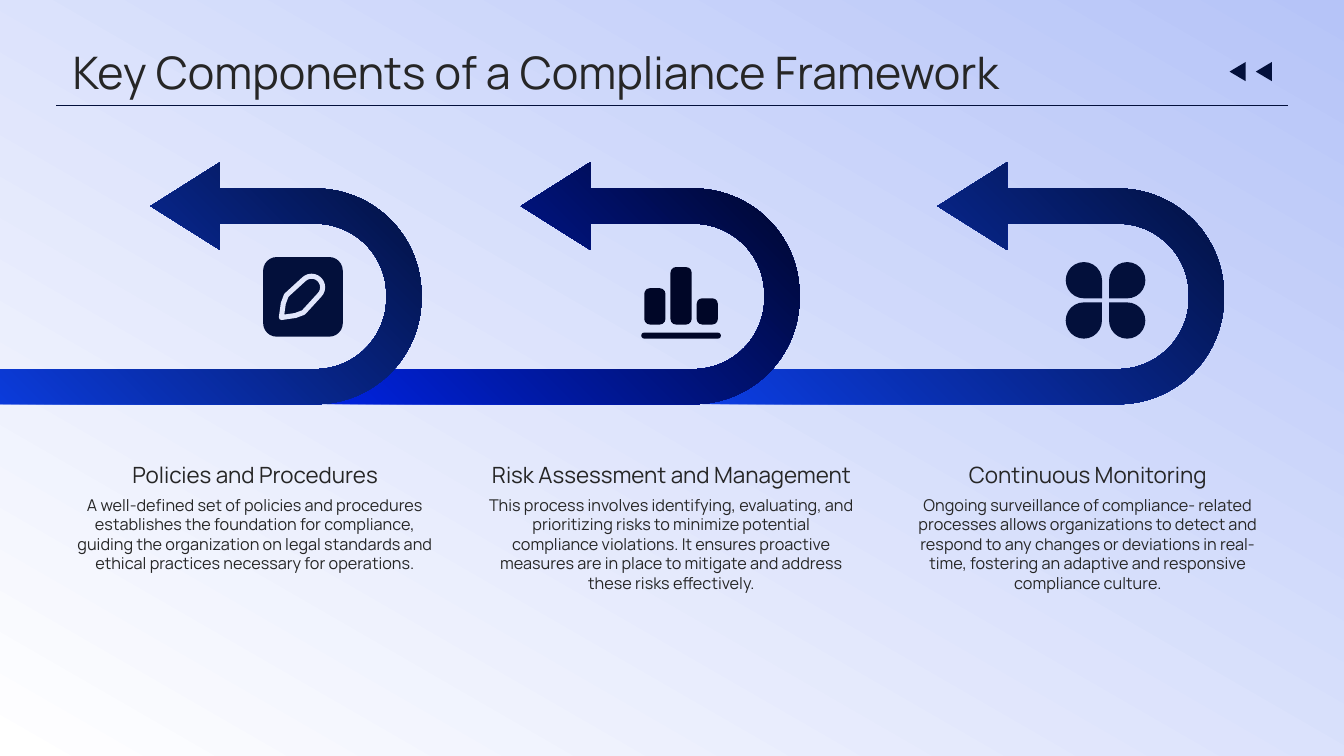
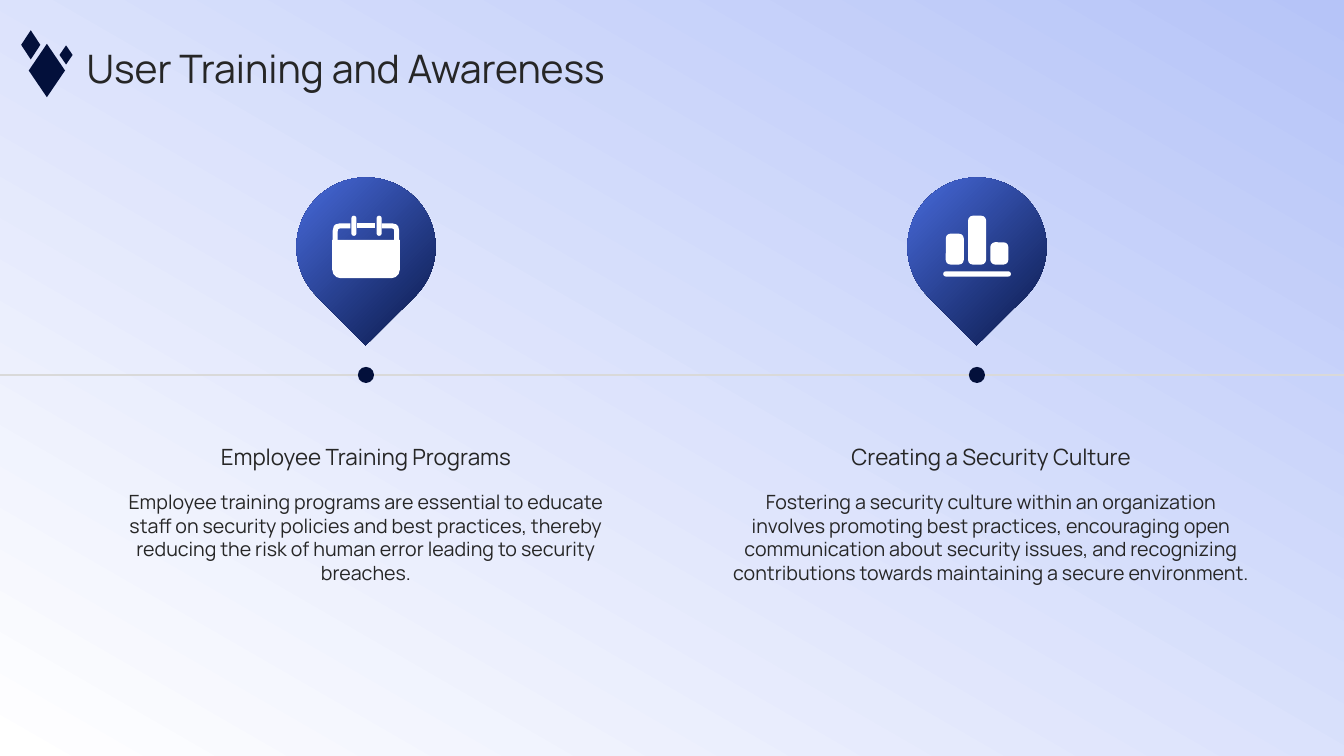
"""Build two compliance slides: a framework arrow flow and a training timeline."""
import math

from lxml import etree
from pptx import Presentation
from pptx import util as u
from pptx.dml.color import RGBColor
from pptx.enum import shapes, text
from pptx.oxml.ns import qn

WIDTH, HEIGHT = 13.33, 7.5
FONT = "Manrope"
INK = RGBColor(0x26, 0x26, 0x26)
NAVY = RGBColor(0x03, 0x10, 0x3B)
MIDNIGHT = RGBColor(0x00, 0x06, 0x27)
ROYAL = RGBColor(0x0C, 0x3E, 0xE6)
COBALT = RGBColor(0x00, 0x23, 0xE3)
PERIWINKLE = RGBColor(0xB6, 0xC4, 0xF8)
PIN_BLUE = RGBColor(0x54, 0x7A, 0xF6)
PALE = RGBColor(0xE1, 0xE6, 0xFC)
GREY = RGBColor(0xD9, 0xD9, 0xD9)
WHITE = RGBColor(0xFF, 0xFF, 0xFF)
KIND = shapes.MSO_SHAPE

COMPONENTS = [
    dict(heading="Policies and Procedures",
         body="A well-defined set of policies and procedures establishes the foundation for "
              "compliance, guiding the organization on legal standards and ethical practices "
              "necessary for operations.",
         start=-0.46, length=4.64, bend=0.579, colors=(ROYAL, NAVY), icon="pen", icon_top=2.55),
    dict(heading="Risk Assessment and Management",
         body="This process involves identifying, evaluating, and prioritizing risks to minimize "
              "potential compliance violations. It ensures proactive measures are in place to "
              "mitigate and address these risks effectively.",
         start=3.09, length=4.84, bend=0.571, colors=(COBALT, MIDNIGHT), icon="bars",
         icon_top=2.65),
    dict(heading="Continuous Monitoring",
         body="Ongoing surveillance of compliance- related processes allows organizations to "
              "detect and respond to any changes or deviations in real-time, fostering an "
              "adaptive and responsive compliance culture.",
         start=6.88, length=5.26, bend=0.54, colors=(ROYAL, NAVY), icon="petals", icon_top=2.6),
]
TRAINING = [
    ("Employee Training Programs",
     "Employee training programs are essential to educate staff on security policies and best "
     "practices, thereby reducing the risk of human error leading to security breaches.",
     "calendar"),
    ("Creating a Security Culture",
     "Fostering a security culture within an organization involves promoting best practices, "
     "encouraging open communication about security issues, and recognizing contributions "
     "towards maintaining a secure environment.", "bars"),
]
DIAMONDS = [(0.2, 0.52, 0.53, 0.36), (0.16, 0.35, 0.29, 0.19), (0.56, 0.48, 0.19, 0.13)]


def add_shape(slide, kind, box, fill, rotation=0, adjustments=(), flip=False):
    """Add a borderless shape; fill is a colour or (start, end, clockwise angle)."""
    shape = slide.shapes.add_shape(kind, *map(u.Inches, box))
    shape.shadow.inherit = False
    shape.line.fill.background()
    if isinstance(fill, RGBColor):
        shape.fill.solid()
        shape.fill.fore_color.rgb = fill
    else:
        shape.fill.gradient()
        shape.fill.gradient_angle = 360 - fill[2]
        for stop, color, position in zip(shape.fill.gradient_stops, fill, (0, 1)):
            stop.color.rgb = color
            stop.position = position
    for index, value in enumerate(adjustments):
        shape.adjustments[index] = value
    shape.rotation = rotation
    if flip:
        shape.element.spPr.get_or_add_xfrm().set("flipH", "1")


def add_text(slide, box, content, size, anchor=text.MSO_ANCHOR.TOP, align=text.PP_ALIGN.CENTER):
    """Add a one-paragraph text box without margins."""
    frame = slide.shapes.add_textbox(*map(u.Inches, box)).text_frame
    frame.word_wrap = True
    frame.margin_left = frame.margin_right = frame.margin_top = frame.margin_bottom = 0
    frame.vertical_anchor = anchor
    frame.text = content
    paragraph = frame.paragraphs[0]
    paragraph.alignment = align
    font = paragraph.runs[0].font
    font.name, font.size, font.color.rgb = FONT, u.Pt(size), INK


def add_rule(slide, left, right, y, color, width):
    """Add a horizontal line."""
    line = slide.shapes.add_connector(shapes.MSO_CONNECTOR.STRAIGHT,
                                      *map(u.Inches, (left, y, right, y)))
    line.line.color.rgb, line.line.width = color, u.Pt(width)
    etree.SubElement(line.element.spPr, qn("a:effectLst"))


def add_outline(slide, left, top, contours, color, width, close=False):
    """Draw unfilled contours whose points are offsets from left and top."""
    placed = [[(u.Inches(left + x), u.Inches(top + y)) for x, y in points] for points in contours]
    builder = slide.shapes.build_freeform(*placed[0][0])
    for index, points in enumerate(placed):
        if index:
            builder.move_to(*points[0])
        builder.add_line_segments(points[1:], close=close)
    shape = builder.convert_to_shape()
    shape.shadow.inherit = False
    shape.fill.background()
    shape.line.color.rgb, shape.line.width = color, u.Pt(width)


def draw_pen(slide, left, top, color):
    add_shape(slide, KIND.ROUNDED_RECTANGLE, (left, top, 0.79, 0.79), color, adjustments=[0.17])
    cap = [(0.48 + 0.11 * math.cos(math.radians(angle)), 0.3 + 0.11 * math.sin(math.radians(angle)))
           for angle in range(-135, 46, 15)]
    pen = [(0.18, 0.6), (0.2, 0.46), (0.23, 0.38), *cap, (0.4, 0.55), (0.32, 0.58)]
    add_outline(slide, left, top, [pen], PALE, 3.6, close=True)


def draw_bars(slide, left, top, color, scale=1):
    bars = [(0.03, 0.21, 0.21, 0.36, 0.26), (0.29, 0, 0.21, 0.57, 0.26),
            (0.55, 0.31, 0.21, 0.26, 0.26), (0, 0.65, 0.79, 0.06, 0.5)]
    for x, y, width, height, radius in bars:
        box = (left + x * scale, top + y * scale, width * scale, height * scale)
        add_shape(slide, KIND.ROUNDED_RECTANGLE, box, color, adjustments=[radius])


def draw_petals(slide, left, top, color):
    for column, row, rotation in [(0, 0, 90), (1, 0, 180), (1, 1, 270), (0, 1, 0)]:
        box = (left + 0.43 * column, top + 0.4 * row, 0.36, 0.36)
        add_shape(slide, KIND.TEAR, box, color, rotation)


def draw_calendar(slide, left, top, color):
    add_shape(slide, KIND.ROUND_2_SAME_RECTANGLE, (left, top + 0.24, 0.67, 0.38), color, 180,
              [0.22, 0])
    corner = [(0.03, 0.25), (0.03, 0.15), (0.04, 0.11), (0.08, 0.1), (0.18, 0.1)]
    mirrored = [(0.67 - x, y) for x, y in corner]
    add_outline(slide, left, top, [corner, [(0.25, 0.1), (0.42, 0.1)], mirrored], color, 3.6)
    for x in (0.19, 0.44):
        add_shape(slide, KIND.ROUNDED_RECTANGLE, (left + x, top, 0.05, 0.2), color,
                  adjustments=[0.5])


ICONS = dict(pen=draw_pen, bars=draw_bars, petals=draw_petals, calendar=draw_calendar)


def new_slide(presentation, title, title_box, title_size):
    """Add a slide with the shared backdrop and title style."""
    slide = presentation.slides.add_slide(presentation.slide_layouts[6])
    add_shape(slide, KIND.RECTANGLE, (0, 0, WIDTH, HEIGHT), (PERIWINKLE, WHITE, 60), flip=True)
    add_text(slide, title_box, title, title_size, text.MSO_ANCHOR.MIDDLE, text.PP_ALIGN.LEFT)
    return slide


def build_framework(presentation):
    slide = new_slide(presentation, "Key Components of a Compliance Framework",
                      (0.72, 0.46, 11.88, 0.51), 32)
    breadth, middle = 2.4, 2.81
    for item in reversed(COMPONENTS):
        length = item["length"]
        box = (item["start"] + (length - breadth) / 2, middle - length / 2, breadth, length)
        add_shape(slide, KIND.U_TURN_ARROW, box, (*item["colors"], 315), 90,
                  [0.145, 0.181, 0.287, 0.438, item["bend"]], flip=True)
    for column, item in enumerate(COMPONENTS):
        icon_left = item["start"] + item["length"] - 1.57
        ICONS[item["icon"]](slide, icon_left, item["icon_top"], item["colors"][1])
        left = 0.72 + 4.13 * column
        add_text(slide, (left, 4.91, 3.62, 1.52), item["body"], 11.6)
        add_text(slide, (left, 4.01, 3.62, 0.83), item["heading"], 16, text.MSO_ANCHOR.BOTTOM)
    add_rule(slide, 0.56, 12.77, 1.05, NAVY, 0.75)
    for left in (12.18, 12.44):
        add_shape(slide, KIND.ISOSCELES_TRIANGLE, (left, 0.63, 0.19, 0.16), NAVY, 270)


def build_training(presentation):
    slide = new_slide(presentation, "User Training and Awareness", (0.86, 0.42, 11.67, 0.51), 28)
    timeline, pin, dot = 3.72, 1.38, 0.16
    add_rule(slide, 0, WIDTH, timeline, GREY, 2)
    for column, (heading, body, icon) in enumerate(TRAINING):
        center = 3.63 + 6.06 * column
        add_shape(slide, KIND.TEAR, (center - pin / 2, 1.76, pin, pin), (NAVY, PIN_BLUE, 90), 135.2)
        add_shape(slide, KIND.OVAL, (center - dot / 2, timeline - dot / 2, dot, dot), NAVY)
        options = dict(scale=0.85) if icon == "bars" else {}
        ICONS[icon](slide, center - 0.335, 2.14, WHITE, **options)
        left = 1.07 + 6.2 * column
        add_text(slide, (left, 4.86, 5.12, 1.42), body, 14)
        add_text(slide, (left, 3.95, 5.12, 0.71), heading, 16, text.MSO_ANCHOR.BOTTOM)
    for box in DIAMONDS:
        add_shape(slide, KIND.FLOWCHART_DECISION, box, NAVY, 90)


def main():
    presentation = Presentation()
    presentation.slide_width, presentation.slide_height = u.Inches(WIDTH), u.Inches(HEIGHT)
    build_framework(presentation)
    build_training(presentation)
    presentation.save("out.pptx")


if __name__ == "__main__":
    main()
